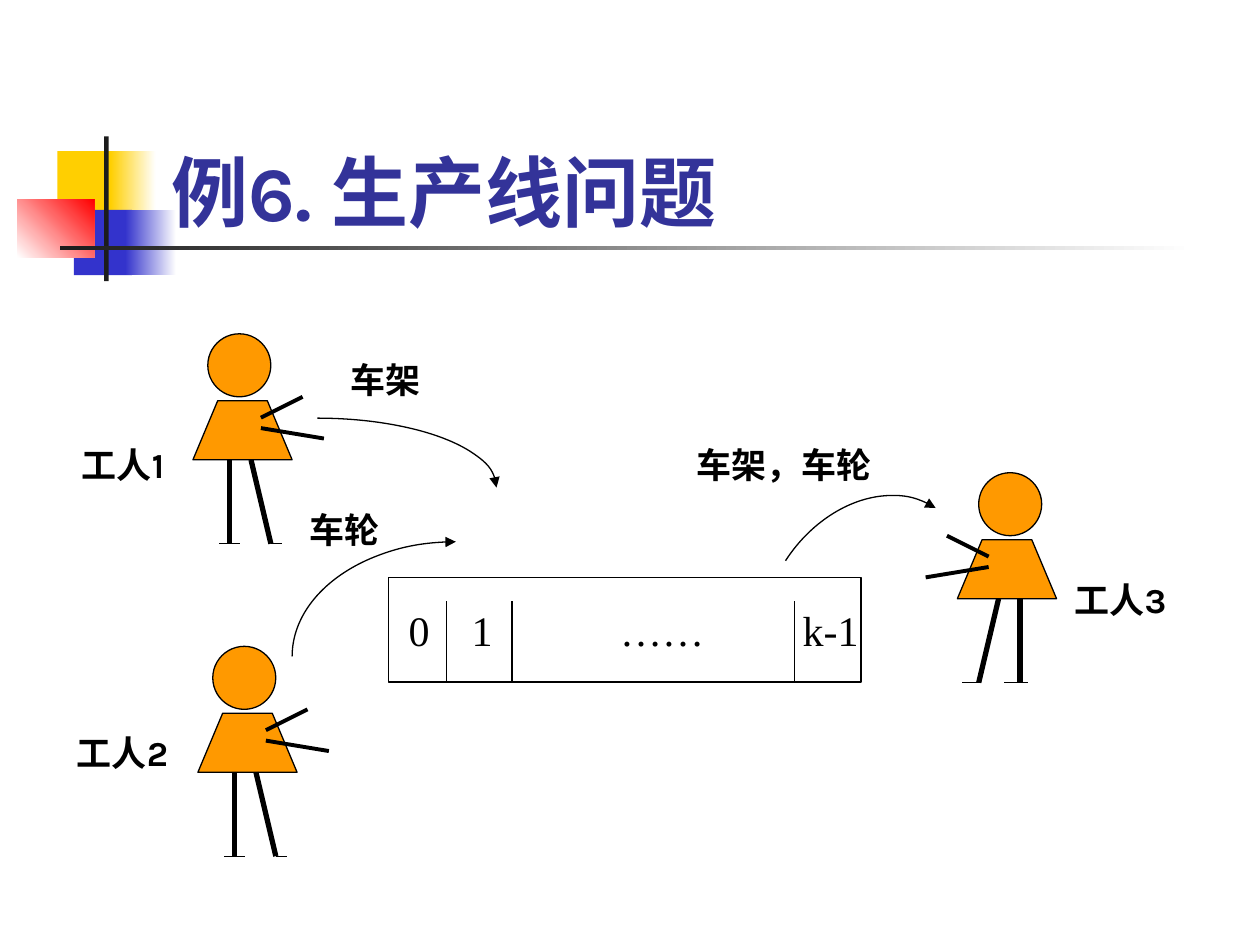
from lxml.etree import SubElement
from pptx import Presentation
from pptx.dml.color import RGBColor
from pptx.enum.shapes import MSO_CONNECTOR as Connector, MSO_SHAPE as Shape
from pptx.enum.text import MSO_ANCHOR as Anchor, PP_ALIGN as Align
from pptx.oxml.ns import qn
from pptx.util import Cm, Pt

YELLOW = RGBColor(0xFF, 0xCF, 0x01)
BLUE = RGBColor(0x33, 0x33, 0xCC)
RED = RGBColor(0xFF, 0x00, 0x00)
CHARCOAL = RGBColor(0x1C, 0x1C, 0x1C)
WHITE = RGBColor(0xFF, 0xFF, 0xFF)
NAVY = RGBColor(0x33, 0x33, 0x99)
ORANGE = RGBColor(0xFF, 0x99, 0x00)
BLACK = RGBColor(0x00, 0x00, 0x00)

LABEL_FONT = "Karla"
BELT_FONT = "Times New Roman"

WORKER_WIDTH = 2.0
NARROW_FEET = [(0.53, 0.94), (1.57, 1.8)]
WIDE_FEET = [(0.58, 1.07), (1.52, 1.91)]


def add_run(paragraph, text, font_name, size, color, bold=False):
    run = paragraph.add_run()
    run.text = text
    run.font.name = font_name
    run.font.size = Pt(size)
    run.font.bold = bold
    run.font.color.rgb = color


def add_shape(shapes, kind, left, top, width, height, fill=None, outlined=True):
    shape = shapes.add_shape(kind, Cm(left), Cm(top), Cm(width), Cm(height))
    shape.shadow.inherit = False
    if fill is None:
        shape.fill.background()
    else:
        shape.fill.solid()
        shape.fill.fore_color.rgb = fill
    if outlined:
        shape.line.color.rgb = BLACK
        shape.line.width = Pt(0.75)
    else:
        shape.line.fill.background()
    return shape


def add_line(shapes, start, end, width=0.75):
    line = shapes.add_connector(Connector.STRAIGHT, *map(Cm, start + end))
    line.line.color.rgb = BLACK
    line.line.width = Pt(width)
    SubElement(line._element.spPr, qn("a:effectLst"))


def set_gradient(shape, first, last, angle=0):
    shape.fill.gradient()
    shape.fill.gradient_angle = angle
    for stop, color, position in zip(shape.fill.gradient_stops, (first, last), (0, 1)):
        stop.color.rgb = color
        stop.position = position


def add_ornament(slide, left, top):
    """Place the coloured squares and the crossing bars beside the title."""

    def block(x, y, width, height, color):
        return add_shape(slide.shapes, Shape.RECTANGLE, left + x, top + y,
                         width, height, color, outlined=False)

    block(0.81, 0.3, 1.22, 1.32, YELLOW)
    set_gradient(block(1.88, 0.3, 0.91, 1.32, YELLOW), YELLOW, WHITE)
    block(1.14, 1.48, 1.17, 1.32, BLUE)
    set_gradient(block(2.18, 1.48, 1.02, 1.32, BLUE), BLUE, WHITE)
    set_gradient(block(0, 1.27, 1.55, 1.17, RED), WHITE, RED, 45)
    block(1.75, 0, 0.09, 2.92, CHARCOAL)
    set_gradient(block(0.86, 2.2, 22.86, 0.09, CHARCOAL), CHARCOAL, WHITE)


def add_title(slide, left, top, width, height):
    title = slide.shapes.title
    title.left, title.top = Cm(left), Cm(top)
    title.width, title.height = Cm(width), Cm(height)
    frame = title.text_frame
    frame.word_wrap = True
    frame.vertical_anchor = Anchor.BOTTOM
    paragraph = frame.paragraphs[0]
    paragraph.alignment = Align.LEFT
    add_run(paragraph, "例6. 生产线问题", LABEL_FONT, 44, NAVY, bold=True)


def add_belt(slide, left, top, width, height):
    """Place the buffer of k cells with its dividers."""
    belt = add_shape(slide.shapes, Shape.RECTANGLE, left, top, width, height)
    frame = belt.text_frame
    frame.word_wrap = True
    frame.vertical_anchor = Anchor.MIDDLE
    frame.margin_left, frame.margin_right = Cm(0.41), 0
    paragraph = frame.paragraphs[0]
    paragraph.alignment = Align.LEFT
    tab_list = SubElement(paragraph._p.get_or_add_pPr(), qn("a:tabLst"))
    for position in (1.27, 4.26, 7.94):
        SubElement(tab_list, qn("a:tab"), pos=str(Cm(position)), algn="l")
    add_run(paragraph, "0\t1\t……\tk-1", BELT_FONT, 24, BLACK)
    for x in (1.17, 2.49, 8.18):
        add_line(slide.shapes, (left + x, top + 0.48), (left + x, top + 2.08))


def add_worker(slide, left, top, feet=NARROW_FEET, mirrored=False):
    shapes = slide.shapes.add_group_shape().shapes

    def point(x, y):
        return (left + (WORKER_WIDTH - x if mirrored else x), top + y)

    head_size = 1.27
    head_left = WORKER_WIDTH - 0.3 - head_size if mirrored else 0.3
    add_shape(shapes, Shape.OVAL, left + head_left, top, head_size, head_size, ORANGE)
    body = add_shape(shapes, Shape.TRAPEZOID, left, top + 1.35, WORKER_WIDTH, 1.19, ORANGE)
    body.adjustments[0] = 0.42
    for hip, ankle in ((0.74, 0.74), (1.17, 1.57)):
        add_line(shapes, point(hip, 2.54), point(ankle, 4.23), 3)
    for shoulder, hand in ((1.9, (2.64, 2.11)), (1.69, (2.21, 1.27))):
        add_line(shapes, point(1.37, shoulder), point(*hand), 2.25)
    for heel, toe in feet:
        add_line(shapes, point(heel, 4.23), point(toe, 4.23))


def add_curved_arrow(slide, center_x, center_y, radius_x, radius_y, rotation=0):
    """Draw a quarter ellipse about its centre, ending in an arrowhead."""
    arc = add_shape(slide.shapes, Shape.ARC, center_x - radius_x, center_y - radius_y,
                    2 * radius_x, 2 * radius_y)
    arc.rotation = rotation
    SubElement(arc.line._get_or_add_ln(), qn("a:tailEnd"), type="triangle")


def add_label(slide, text, left, top, width):
    label = slide.shapes.add_textbox(Cm(left), Cm(top), Cm(width), Cm(1.09))
    label.text_frame.word_wrap = True
    add_run(label.text_frame.paragraphs[0], text, LABEL_FONT, 20, BLACK, bold=True)


def main():
    presentation = Presentation()
    presentation.slide_width, presentation.slide_height = Cm(25.4), Cm(19.05)
    slide = presentation.slides.add_slide(presentation.slide_layouts[5])

    add_ornament(slide, 0.35, 2.75)
    add_title(slide, 3.2, 1.73, 21.64, 3.18)
    add_belt(slide, 7.83, 11.64, 9.53, 2.11)

    add_worker(slide, 19.3, 9.53, WIDE_FEET, mirrored=True)
    add_worker(slide, 3.89, 6.73)
    add_worker(slide, 3.99, 13.03)

    add_curved_arrow(slide, 6.4, 9.83, 3.61, 1.4)
    add_curved_arrow(slide, 9.19, 13.23, 2.31, 3.3, 270)
    add_curved_arrow(slide, 17.48, 12.37, 2.54, 1.96, 303)

    for text, left, top, width in (
        ("车架", 6.81, 7.11, 2.01),
        ("车轮", 5.99, 10.13, 2.01),
        ("车架，车轮", 13.79, 8.81, 4.09),
        ("工人1", 1.4, 8.81, 2.59),
        ("工人2", 1.3, 14.63, 2.59),
        ("工人3", 21.41, 11.53, 2.59),
    ):
        add_label(slide, text, left, top, width)

    presentation.save("out.pptx")


if __name__ == "__main__":
    main()
